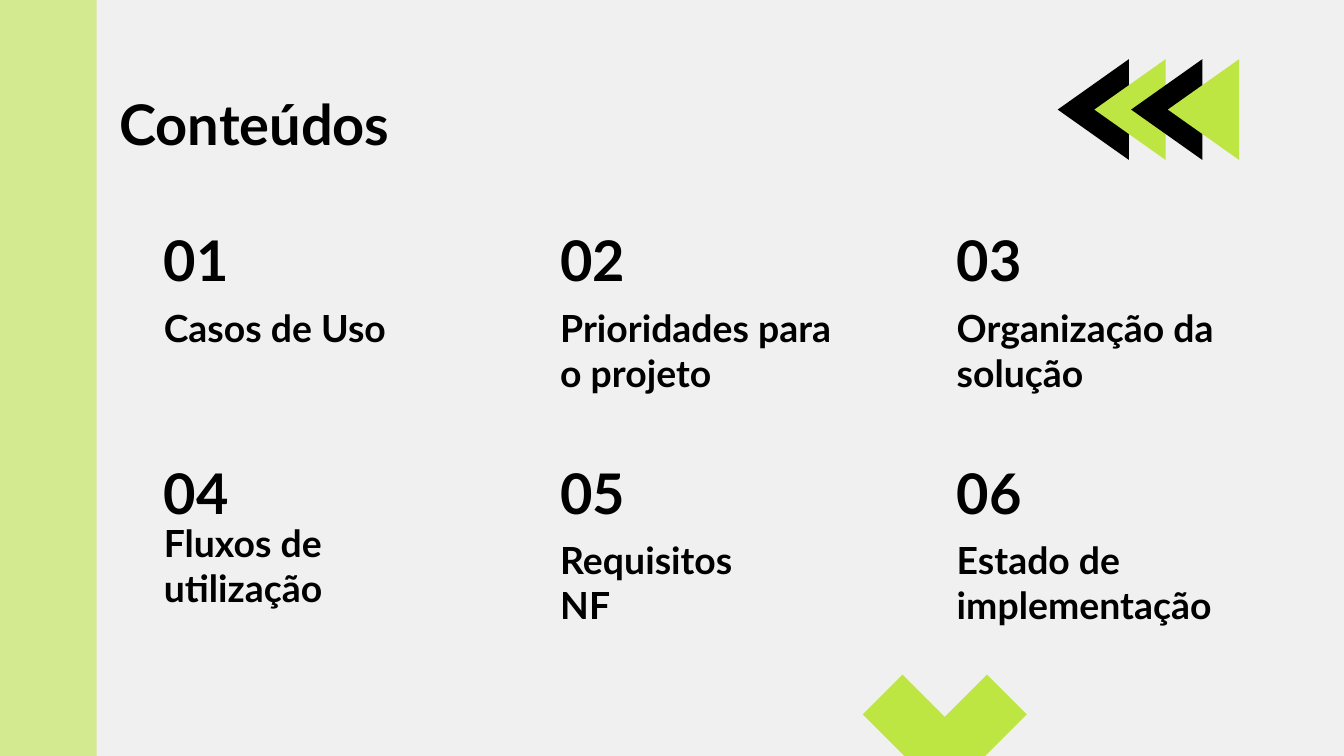
from typing import NamedTuple

from lxml import etree
from pptx import Presentation
from pptx.dml.color import RGBColor
from pptx.enum.shapes import MSO_SHAPE
from pptx.enum.text import MSO_ANCHOR
from pptx.oxml.ns import qn
from pptx.util import Inches, Pt

RECT = MSO_SHAPE.RECTANGLE
CROSS = MSO_SHAPE.MATH_MULTIPLY
ARROW = MSO_SHAPE.ISOSCELES_TRIANGLE
TOP, BOTTOM = MSO_ANCHOR.TOP, MSO_ANCHOR.BOTTOM

WIDE = 10
HIGH = WIDE * 9 / 16
COLORS = {"back": "F0F0F0", "lime": "BEE643", "ink": "000000"}
FONT = "Lato"
LEFT, COL = 1.12, 2.95
UPPER, ROW = 1.79, 1.73
COLS = 3
STEP = 0.82 / 3


class Box(NamedTuple):
    left: float
    top: float
    width: float
    height: float


class Topic(NamedTuple):
    label: str
    width: float
    drop: float = 0.38


TOPICS = [
    Topic("Casos de Uso", 1.88),
    Topic("Prioridades para o projeto", 2.26),
    Topic("Organização da solução", 2.34),
    Topic("Fluxos de utilização", 1.85, 0.25),
    Topic("Requisitos NF", 1.85),
    Topic("Estado de implementação", 2.71),
]


def rgb(name: str) -> RGBColor:
    return RGBColor.from_string(COLORS[name])


def add_shape(slide, kind, box: Box, color: str, turn: float = 0):
    shape = slide.shapes.add_shape(kind, *map(Inches, box))
    shape.shadow.inherit = False
    shape.fill.solid()
    shape.fill.fore_color.rgb = rgb(color)
    shape.line.fill.background()
    shape.rotation = turn
    return shape


def add_text(slide, box: Box, text: str, size: int, anchor=TOP) -> None:
    frame = slide.shapes.add_textbox(*map(Inches, box)).text_frame
    frame.word_wrap = True
    frame.vertical_anchor = anchor
    frame.margin_left = frame.margin_right = Inches(0.1)
    frame.margin_top = frame.margin_bottom = Inches(0.1)
    para = frame.paragraphs[0]
    para.text = text
    font = para.font
    font.name, font.size, font.bold = FONT, Pt(size), True
    font.color.rgb = rgb("ink")


def fade(shape, share: int) -> None:
    """Set the opacity of a solid fill, in percent."""
    color = shape.element.spPr.find(qn("a:solidFill"))[0]
    etree.SubElement(color, qn("a:alpha")).set("val", str(share * 1000))


def add_topic(slide, index: int, topic: Topic) -> None:
    row, col = divmod(index, COLS)
    left, top = LEFT + col * COL, UPPER + row * ROW
    add_text(slide, Box(left, top, 0.8, 0.49), f"{index + 1:02}", 30, BOTTOM)
    add_text(slide, Box(left, top + topic.drop, topic.width, 0.86),
             topic.label, 20)


def main() -> None:
    deck = Presentation()
    deck.slide_width, deck.slide_height = Inches(WIDE), Inches(HIGH)
    slide = deck.slides.add_slide(deck.slide_layouts[6])
    slide.background.fill.solid()
    slide.background.fill.fore_color.rgb = rgb("back")

    cross = add_shape(slide, CROSS, Box(6.14, 4.74, 1.78, 1.78), "lime")
    cross.adjustments[0] = 0.235
    fade(add_shape(slide, RECT, Box(0, 0, 0.72, HIGH), "lime"), 55)

    add_text(slide, Box(0.79, 0.57, 8.43, 0.63), "Conteúdos", 30)
    for index, topic in enumerate(TOPICS):
        add_topic(slide, index, topic)
    for step, color in enumerate(["ink", "lime"] * 2):
        add_shape(slide, ARROW, Box(7.76 + step * STEP, 0.55, 0.75, 0.53),
                  color, 270)
    deck.save("out.pptx")


if __name__ == "__main__":
    main()
